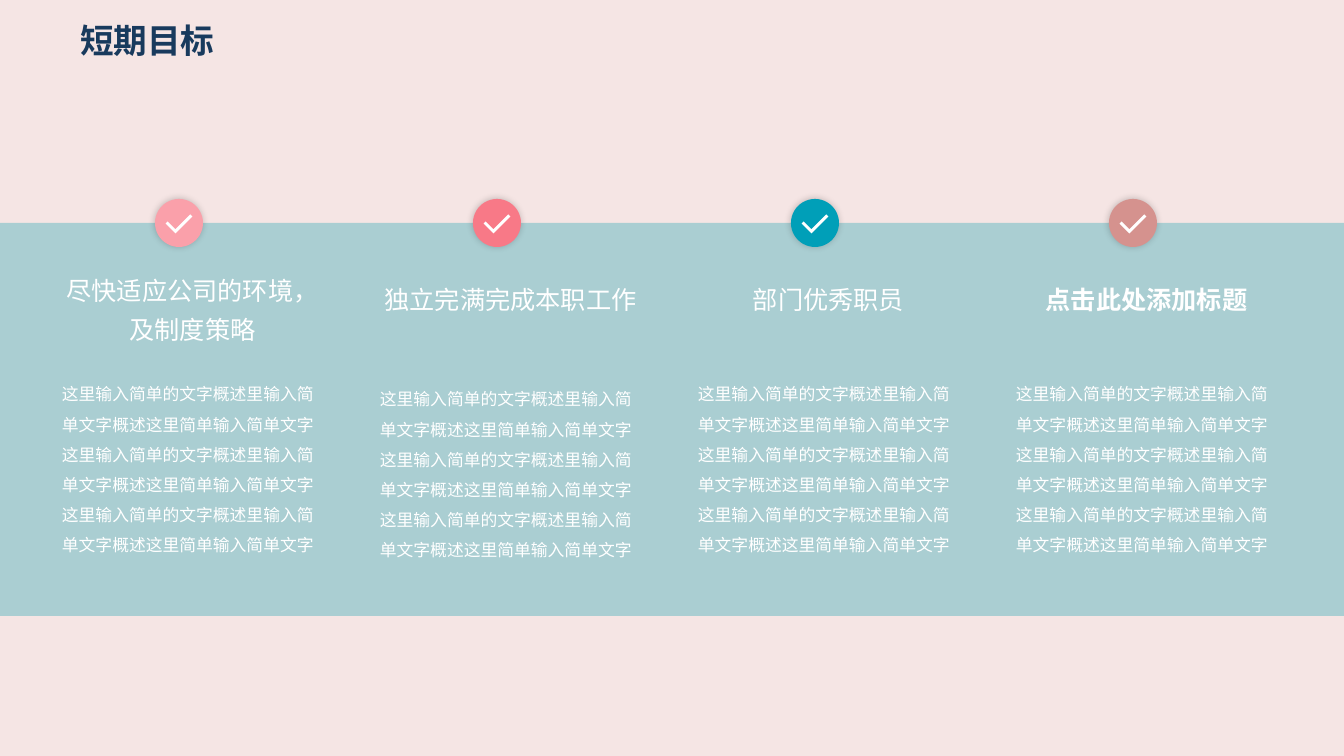
import pptx
import pptx.dml.color
import pptx.enum.shapes
import pptx.enum.text
import pptx.oxml
import pptx.oxml.ns
import pptx.util

TITLE = "短期目标"
BODY = "这里输入简单的文字概述里输入简单文字概述这里简单输入简单文字" * 3
SANS = "Noto Sans CJK SC"
WHITE = "FFFFFF"
GOALS = [
    {"heading": "尽快适应公司的环境，及制度策略", "color": "FAA0AA",
     "heading_box": (261, 90), "body_top": 369},
    {"heading": "独立完满完成本职工作", "color": "F87987",
     "heading_box": (270, 49), "body_top": 374},
    {"heading": "部门优秀职员", "color": "009FB8",
     "heading_box": (270, 49), "body_top": 369},
    {"heading": "点击此处添加标题", "color": "D5928E",
     "heading_box": (270, 54), "body_top": 369,
     "font": "TeX Gyre Adventor", "bold": True},
]

SLIDE_WIDTH, SLIDE_HEIGHT = 1344, 756
EMU_PER_PX = pptx.util.Inches(7.5) / SLIDE_HEIGHT
BAND_TOP, BAND_HEIGHT = 223, 393
COLUMN_LEFT, COLUMN_WIDTH, COLUMN_PITCH = 52, 281, 318
BODY_HEIGHT = 194
BADGE_SIZE, BADGE_OFFSET = 48, 103
CHECK_WIDTH, CHECK_HEIGHT = 24, 14
CHECK_RISE = 3

ALIGN = pptx.enum.text.PP_ALIGN
ANCHOR = pptx.enum.text.MSO_ANCHOR
FIT = pptx.enum.text.MSO_AUTO_SIZE
SHAPE = pptx.enum.shapes.MSO_SHAPE


def px(*lengths):
    return [pptx.util.Emu(round(length * EMU_PER_PX)) for length in lengths]


def rgb(color):
    return pptx.dml.color.RGBColor.from_string(color)


def add_filled(shapes, kind, box, color):
    shape = shapes.add_shape(kind, *px(*box))
    shape.shadow.inherit = False
    shape.fill.solid()
    shape.fill.fore_color.rgb = rgb(color)
    shape.line.fill.background()
    return shape


def write(shape, text, size, font=SANS, color=WHITE, bold=False, align=ALIGN.LEFT,
          spacing=1.0, anchor=ANCHOR.TOP, fit=FIT.SHAPE_TO_FIT_TEXT):
    frame = shape.text_frame
    frame.word_wrap = True
    frame.auto_size = fit
    frame.vertical_anchor = anchor
    paragraph = frame.paragraphs[0]
    paragraph.alignment = align
    paragraph.line_spacing = spacing
    paragraph.space_before = pptx.util.Pt(0)
    run = paragraph.add_run()
    run.text = text
    run.font.size = pptx.util.Pt(size)
    run.font.bold = bold
    run.font.color.rgb = rgb(color)
    run.font.name = font
    properties = run.font._element
    east_asian = properties.makeelement(pptx.oxml.ns.qn("a:ea"), {"typeface": font})
    properties.append(east_asian)


def add_glow_shadow(shape):
    """Give the shape a soft black shadow, 5 pt wide and 20 % opaque."""
    effects = shape._element.spPr.find(pptx.oxml.ns.qn("a:effectLst"))
    effects.append(pptx.oxml.parse_xml(
        f'<a:outerShdw {pptx.oxml.ns.nsdecls("a")} blurRad="{pptx.util.Pt(5)}" '
        'dist="0" dir="0" algn="ctr" rotWithShape="0">'
        '<a:srgbClr val="000000"><a:alpha val="20000"/></a:srgbClr></a:outerShdw>'))


def add_badge(slide, left, color):
    """Add a round badge with a check mark, centred on the band's top edge."""
    group = slide.shapes.add_group_shape()
    top = BAND_TOP - BADGE_SIZE / 2
    circle = add_filled(group.shapes, SHAPE.OVAL,
                        (left, top, BADGE_SIZE, BADGE_SIZE), color)
    add_glow_shadow(circle)
    check_left = left + (BADGE_SIZE - CHECK_WIDTH) / 2
    check_top = BAND_TOP - CHECK_HEIGHT / 2 - CHECK_RISE
    check = add_filled(group.shapes, SHAPE.CORNER,
                       (check_left, check_top, CHECK_WIDTH, CHECK_HEIGHT), WHITE)
    check.adjustments[0] = 0.22
    check.adjustments[1] = 0.21
    check.rotation = 315


def add_goal(slide, index, goal):
    left = COLUMN_LEFT + index * COLUMN_PITCH
    add_badge(slide, left + BADGE_OFFSET, goal["color"])
    heading_top, heading_height = goal["heading_box"]
    heading = slide.shapes.add_textbox(
        *px(left, heading_top, COLUMN_WIDTH, heading_height))
    write(heading, goal["heading"], 18, font=goal.get("font", SANS),
          bold=goal.get("bold", False), align=ALIGN.CENTER, spacing=1.3)
    body = slide.shapes.add_textbox(
        *px(left, goal["body_top"], COLUMN_WIDTH, BODY_HEIGHT))
    write(body, BODY, 12, spacing=1.5)


def main():
    presentation = pptx.Presentation()
    presentation.slide_width, presentation.slide_height = px(SLIDE_WIDTH, SLIDE_HEIGHT)
    slide = presentation.slides.add_slide(presentation.slide_layouts.get_by_name("Title Only"))
    slide.background.fill.solid()
    slide.background.fill.fore_color.rgb = rgb("F5E5E4")

    add_filled(slide.shapes, SHAPE.RECTANGLE,
               (0, BAND_TOP, SLIDE_WIDTH, BAND_HEIGHT), "AACED2")
    title = slide.shapes.title
    title.left, title.top, title.width, title.height = px(70, 14, 618, 58)
    write(title, TITLE, 24, color="183A5D", bold=True, spacing=0.9,
          anchor=ANCHOR.MIDDLE, fit=FIT.NONE)
    for index, goal in enumerate(GOALS):
        add_goal(slide, index, goal)
    presentation.save("out.pptx")


if __name__ == "__main__":
    main()
